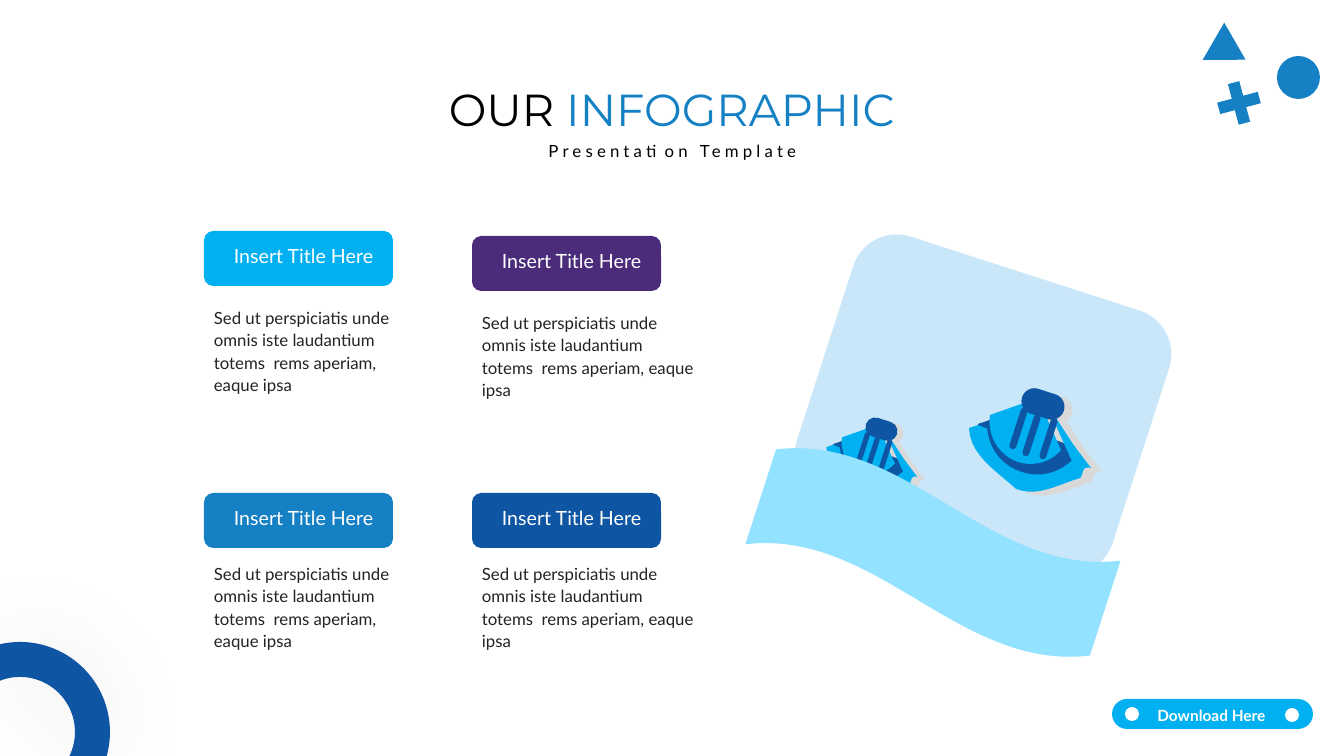
from math import acos, asin, cos, degrees, radians, sin

from lxml import etree
from pptx import Presentation
from pptx.dml.color import RGBColor
from pptx.enum.shapes import MSO_SHAPE, MSO_SHAPE_TYPE
from pptx.enum.text import MSO_ANCHOR, MSO_AUTO_SIZE, PP_ALIGN
from pptx.oxml.ns import qn
from pptx.util import Pt

PX = 914400 / 100.8
ROUNDED, WAVE = MSO_SHAPE.ROUNDED_RECTANGLE, MSO_SHAPE.WAVE
OVAL, TRIANGLE, PLUS = MSO_SHAPE.OVAL, MSO_SHAPE.ISOSCELES_TRIANGLE, MSO_SHAPE.CROSS
DRAWN = (MSO_SHAPE_TYPE.AUTO_SHAPE, MSO_SHAPE_TYPE.FREEFORM)
TOP, GROW = MSO_ANCHOR.TOP, MSO_AUTO_SIZE.SHAPE_TO_FIT_TEXT
LEFT, CENTER = PP_ALIGN.LEFT, PP_ALIGN.CENTER
SKY, BLUE, NAVY, PURPLE = "00B0F0", "1580C4", "0E55A3", "4A2C7B"
GREY, WHITE, BLACK, INK = "D9D9D9", "FFFFFF", "000000", "232323"
TILT = 17.9


def paint(fill, colour):
    fill.solid()
    fill.fore_color.rgb = RGBColor.from_string(colour)


def write(box, text, size=12, font="Lato", colour=BLACK, align=CENTER,
          line=1.0, bold=False, tracking=0):
    frame = box.text_frame
    frame.word_wrap, frame.auto_size, frame.vertical_anchor = True, GROW, TOP
    para = frame.paragraphs[0]
    para.alignment, para.line_spacing, para.space_before = align, line, Pt(0)
    span = para.add_run()
    span.text = text
    span.font.size, span.font.name, span.font.bold = Pt(size), font, bold
    paint(span.font.fill, colour)
    if tracking:
        span.font._element.set("spc", str(tracking * 100))


deck = Presentation()
deck.slide_width, deck.slide_height = round(1344 * PX), round(756 * PX)
page = deck.slides.add_slide(deck.slide_layouts[0])
shapes = page.shapes

# Title and subtitle
title, subtitle = shapes.title, page.placeholders[1]
for box, place in ((title, (381, 77, 582, 65)), (subtitle, (507, 132, 331, 32))):
    box.left, box.top, box.width, box.height = [round(v * PX) for v in place]
write(title, "OUR ", size=32, font="Montserrat")
write(title, "INFOGRAPHIC", size=32, font="Montserrat", colour=BLUE)
write(subtitle, "Presentation Template", line=1.2, tracking=3)

# Tilted card behind the boats
card = shapes.add_shape(ROUNDED, *[round(v * PX) for v in (817, 267, 332, 275)])
card.rotation = TILT
paint(card.fill, "CAE7F9")

# Boat outlines: a pair is a line end, six numbers are a curve
keel = [(1019, 480), (994, 472, 978, 449, 978, 424), (987, 421), (1079, 460),
        (1076, 469), (1060, 482, 1039, 487, 1019, 480)]
hull = [(1016, 489), (998, 472, 970, 456, 969, 428), (978, 425), (1084, 466),
        (1080, 478), (1055, 486, 1038, 497, 1016, 489)]
bowl = [(1022, 472), (999, 465, 986, 444, 987, 421), (997, 417), (1076, 448),
        (1072, 460), (1059, 473, 1040, 478, 1022, 472)]
sail = [(1061, 450), (1038, 398), (990, 415), (987, 435, 998, 455, 1018, 462),
        (1034, 467, 1051, 462, 1061, 450)]
flank = [(1045, 401), (1073, 444), (1091, 468), (1081, 465, 1084, 475, 1080, 478),
         (1076, 470), (1045, 401)]
cap = (1021, 391, 44, 26)
ribs = [(1015, 407, 7, 43), (1028, 414, 7, 43), (1045, 417, 7, 43)]
pieces = [(cap, GREY, 8, 3), (hull, GREY, 11, 4), (bowl, GREY, 11, 4),
          (sail, GREY, 17, 5), (flank, GREY, 11, 4), (keel, NAVY, 0, 0),
          (hull, SKY, 0, 0), (bowl, NAVY, 0, 0), (sail, SKY, 0, 0),
          (flank, SKY, 0, 0)]
pieces += [(pill, NAVY, 0, 0) for pill in [cap] + ribs]

# Boats: the second one is a smaller version of the first
mast_x, mast_y = 1045, 401
cosine, sine = cos(radians(TILT)), sin(radians(TILT))
for boat_x, boat_y, scale in ((1045, 401, 1), (883, 427, 0.745)):
    for form, colour, shift_x, shift_y in pieces:
        origin_x = boat_x + (shift_x - mast_x) * scale
        origin_y = boat_y + (shift_y - mast_y) * scale
        if isinstance(form, tuple):
            x, y, width, height = [v * scale * PX for v in form]
            part = shapes.add_shape(ROUNDED, round(origin_x * PX + x), round(origin_y * PX + y),
                                    round(width), round(height))
            part.adjustments[0] = 0.5
        else:
            points = [form[0]]
            for step in form[1:]:
                if len(step) == 2:
                    points.append(step)
                    continue
                ends = [points[-1], step[:2], step[2:4], step[4:]]
                for t in (n / 10 for n in range(1, 11)):
                    weights = ((1 - t) ** 3, 3 * t * (1 - t) ** 2, 3 * t * t * (1 - t), t ** 3)
                    points.append(tuple(sum(w * end[axis] for w, end in zip(weights, ends))
                                        for axis in (0, 1)))
            # Level the outline, then tilt the finished shape about its centre
            points = [((origin_x + x * scale) * PX, (origin_y + y * scale) * PX)
                      for x, y in points]
            level = [(x * cosine + y * sine, y * cosine - x * sine) for x, y in points]
            builder = shapes.build_freeform(*level[0])
            builder.add_line_segments(level[1:])
            part = builder.convert_to_shape()
            middle_x, middle_y = part.left + part.width / 2, part.top + part.height / 2
            part.left = round(middle_x * cosine - middle_y * sine - part.width / 2)
            part.top = round(middle_x * sine + middle_y * cosine - part.height / 2)
        part.rotation = TILT
        paint(part.fill, colour)

# Sea, corner ornaments and download button: box, colour, turn, adjustment
for kind, place, colour, turn, adjust in (
        (WAVE, (752, 486, 362, 133), "93E2FF", TILT, None),
        (OVAL, (1277, 56, 43, 43), BLUE, 0, None),
        (TRIANGLE, (1208, 32, 43, 37), BLUE, 120, None),
        (PLUS, (1218, 82, 42, 42), BLUE, 75, 0.36),
        (ROUNDED, (1112, 699, 201, 30), SKY, 0, 0.5),
        (OVAL, (1125, 707, 14, 14), WHITE, 0, None),
        (OVAL, (1285, 708, 14, 14), WHITE, 0, None)):
    item = shapes.add_shape(kind, *[round(v * PX) for v in place])
    item.rotation = turn
    if adjust is not None:
        item.adjustments[0] = adjust
    paint(item.fill, colour)
button_label = shapes.add_textbox(*[round(v * PX) for v in (1139, 698, 145, 30)])
write(button_label, "Download Here", size=11, colour=WHITE, bold=True, line=1.2)

# Four topics: left, tab top, text top, text width, colour
for left, top, text_top, text_width, colour in (
        (204, 231, 301, 215, SKY), (204, 493, 557, 220, BLUE),
        (472, 236, 306, 234, PURPLE), (472, 493, 557, 234, NAVY)):
    tab = shapes.add_shape(ROUNDED, *[round(v * PX) for v in (left, top, 189, 55)])
    paint(tab.fill, colour)
    heading = shapes.add_textbox(*[round(v * PX) for v in (left + 20, top + 8, 168, 34)])
    write(heading, "Insert Title Here", size=14, colour=WHITE, align=LEFT)
    body = shapes.add_textbox(*[round(v * PX) for v in (left, text_top, text_width, 98)])
    write(body, "Sed ut perspiciatis unde omnis iste laudantium totems  rems aperiam, eaque ipsa",
          colour=INK, align=LEFT, line=1.1)

# Ring cut off by the left and bottom edges
ring_x, ring_y, drop = 20, 732, 24
edge = []
for radius, order in ((90, 1), (55, -1)):
    start, end = -degrees(asin(drop / radius)), degrees(acos(-ring_x / radius))
    angles = [radians(start + (end - start) * n / 40) for n in range(41)][::order]
    edge += [((ring_x + radius * cos(a)) * PX, (ring_y - radius * sin(a)) * PX) for a in angles]
builder = shapes.build_freeform(*edge[0])
builder.add_line_segments(edge[1:])
ring = builder.convert_to_shape()
paint(ring.fill, NAVY)

# No outlines or shadows, except the soft glow around the ring
for shape in shapes:
    if shape.shape_type in DRAWN:
        shape.line.fill.background()
        shape.shadow.inherit = False
effects = ring._element.spPr.find(qn("a:effectLst"))
glow = etree.SubElement(effects, qn("a:outerShdw"), blurRad=str(Pt(65)), dist="0",
                        algn="ctr", rotWithShape="0")
tint = etree.SubElement(glow, qn("a:srgbClr"), val=BLACK)
etree.SubElement(tint, qn("a:alpha"), val="7000")

deck.save("out.pptx")
